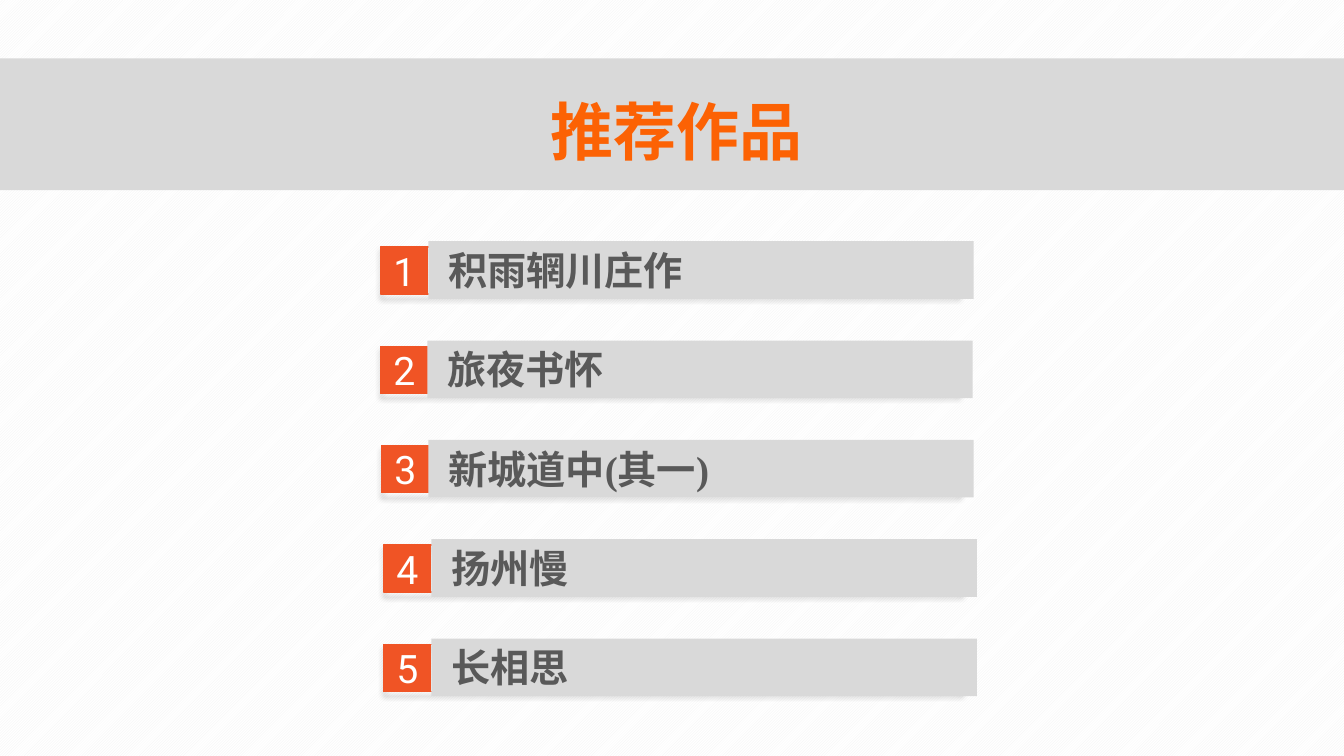
from typing import NamedTuple

from lxml import etree
from pptx import Presentation
from pptx.dml.color import RGBColor
from pptx.enum.dml import MSO_PATTERN
from pptx.enum.shapes import MSO_SHAPE
from pptx.enum.text import MSO_ANCHOR, MSO_AUTO_SIZE, PP_ALIGN
from pptx.oxml.ns import qn
from pptx.shapes.autoshape import Shape
from pptx.slide import Slide
from pptx.text.text import TextFrame
from pptx.util import Pt

RECT = MSO_SHAPE.RECTANGLE
STRIPES = MSO_PATTERN.LIGHT_UPWARD_DIAGONAL
MIDDLE, TOP = MSO_ANCHOR.MIDDLE, MSO_ANCHOR.TOP
CENTER, LEFT = PP_ALIGN.CENTER, PP_ALIGN.LEFT
GROW = MSO_AUTO_SIZE.SHAPE_TO_FIT_TEXT

COLORS = {
    "white": "FFFFFF", "stripe": "F2F2F2", "band": "D9D9D9",
    "tile": "F05425", "title": "FC6204", "text": "595959", "shade": "000000",
}
SERIF, SANS, HAN = "Times New Roman", "Roboto", "Noto Sans CJK SC"
WIDTH, HEIGHT = 960, 540
ROW_TOP, ROW_STEP = 176.4, 70.95
FRAME_W, TILE_W, TILE_H = 412.6, 33.2, 33.6
BAR_W, BAR_H, BAR_RISE = 389.5, 41.2, 4.1


class Box(NamedTuple):
    left: float
    top: float
    width: float
    height: float


class Style(NamedTuple):
    font: str
    size: float
    color: str
    bold: bool = False
    align: PP_ALIGN = LEFT
    anchor: MSO_ANCHOR = TOP


class Poem(NamedTuple):
    name: str
    font: str
    tile_x: float
    bar_x: float


POEMS = [
    Poem("积雨辋川庄作", SERIF, 272.2, 306),
    Poem("旅夜书怀", HAN, 272.2, 305.3),
    Poem("新城道中(其一)", SERIF, 272.9, 306),
    Poem("扬州慢", HAN, 274.3, 308.2),
    Poem("长相思", SERIF, 274.3, 308.2),
]


def rgb(name: str) -> RGBColor:
    return RGBColor.from_string(COLORS[name])


def add_rect(slide: Slide, box: Box, fill: str = "", line: str = "") -> Shape:
    shape = slide.shapes.add_shape(RECT, *map(Pt, box))
    shape.shadow.inherit = False
    if fill:
        shape.fill.solid()
        shape.fill.fore_color.rgb = rgb(fill)
    else:
        shape.fill.background()
    if line:
        shape.line.color.rgb = rgb(line)
        shape.line.width = Pt(1)
    else:
        shape.line.fill.background()
    return shape


def add_shade(shape: Shape) -> None:
    """Cast a soft shadow straight down."""
    effects = shape._element.spPr.find(qn("a:effectLst"))
    outer = etree.SubElement(
        effects, qn("a:outerShdw"), blurRad=str(Pt(4)), dist=str(Pt(3)),
        dir="5400000", algn="t", rotWithShape="0")
    color = etree.SubElement(outer, qn("a:srgbClr"), val=COLORS["shade"])
    etree.SubElement(color, qn("a:alpha"), val="40000")


def write(frame: TextFrame, text: str, style: Style) -> None:
    frame.word_wrap = True
    frame.vertical_anchor = style.anchor
    para = frame.paragraphs[0]
    para.alignment = style.align
    run = para.add_run()
    run.text = text
    font = run.font
    font.name, font.size, font.bold = style.font, Pt(style.size), style.bold
    font.color.rgb = rgb(style.color)
    latin = run._r.rPr.find(qn("a:latin"))
    east = etree.Element(qn("a:ea"), typeface=HAN)
    latin.addnext(east)


def add_row(slide: Slide, index: int, poem: Poem) -> None:
    top = ROW_TOP + index * ROW_STEP
    frame = add_rect(slide, Box(poem.tile_x, top, FRAME_W, TILE_H), line="tile")
    add_shade(frame)
    tile = add_rect(slide, Box(poem.tile_x, top, TILE_W, TILE_H), "tile", "tile")
    write(tile.text_frame, str(index + 1),
          Style(SANS, 28, "white", align=CENTER, anchor=MIDDLE))
    bar = add_rect(slide, Box(poem.bar_x, top - BAR_RISE, BAR_W, BAR_H), "band")
    bar.text_frame.margin_left = Pt(14.2)
    write(bar.text_frame, poem.name, Style(poem.font, 28, "text", bold=True))
    bar.text_frame.auto_size = GROW


def main() -> None:
    deck = Presentation()
    deck.slide_width, deck.slide_height = Pt(WIDTH), Pt(HEIGHT)
    slide = deck.slides.add_slide(deck.slide_layouts[6])
    back = slide.background.fill
    back.patterned()
    back.pattern = STRIPES
    back.fore_color.rgb = rgb("stripe")
    back.back_color.rgb = rgb("white")

    add_rect(slide, Box(0, 41.6, WIDTH, 94.2), "band")
    title = slide.shapes.add_textbox(*map(Pt, Box(206.6, 63.4, 553.7, 59)))
    write(title.text_frame, "推荐作品",
          Style(SERIF, 45, "title", True, CENTER, MIDDLE))
    for index, poem in enumerate(POEMS):
        add_row(slide, index, poem)
    deck.save("out.pptx")


if __name__ == "__main__":
    main()
